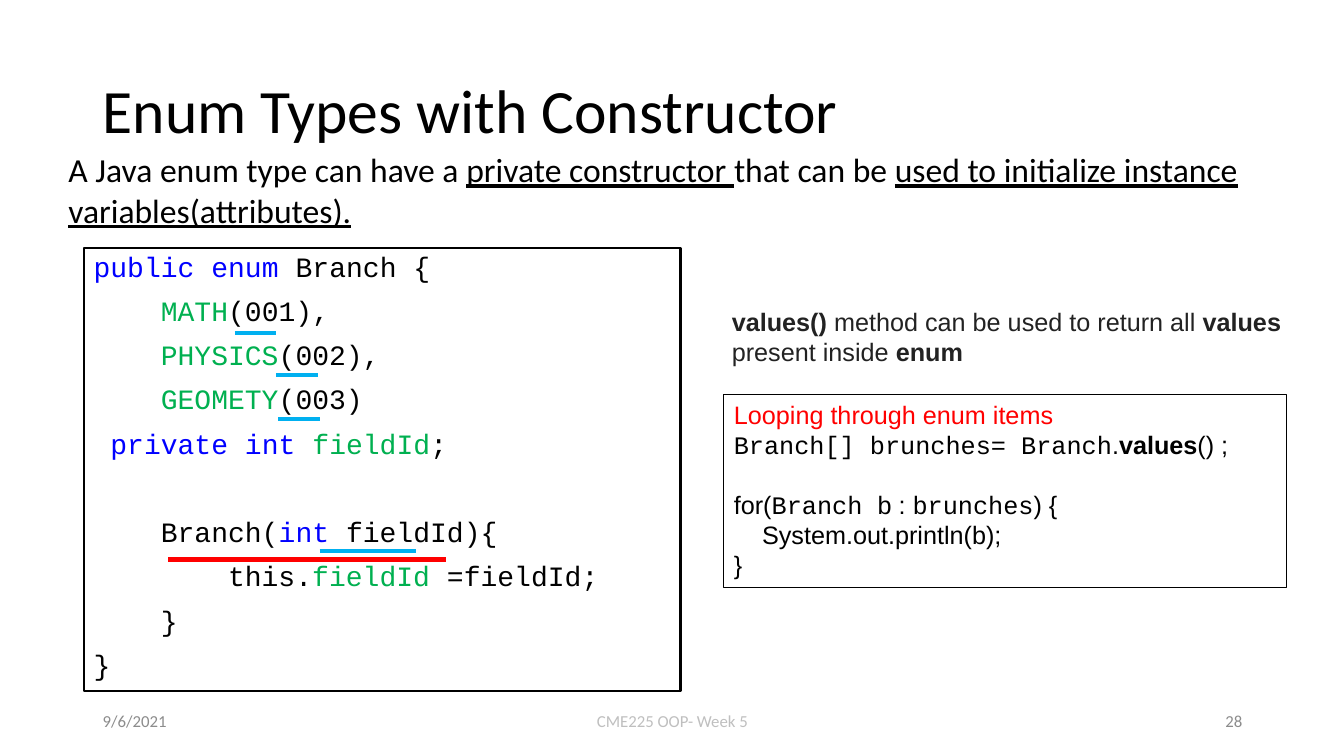
from pptx import Presentation
from pptx.dml.color import RGBColor
from pptx.enum.shapes import MSO_CONNECTOR, MSO_SHAPE
from pptx.enum.text import MSO_ANCHOR, PP_ALIGN
from pptx.oxml.ns import qn
from pptx.util import Inches, Pt
from lxml import etree

COLORS = {
    "white": "FFFFFF", "black": "000000", "keyword": "0000FF", "name": "00B050",
    "red": "FF0000", "sky": "00B0F0", "note": "222222", "gray": "8C8C8C", "pale": "BFBFBF",
}
CODE = "Courier New"

deck = Presentation()
deck.slide_width, deck.slide_height = Inches(13.33), Inches(7.5)
page = deck.slides.add_slide(deck.slide_layouts[6])


def add_text(place, lines, font="Calibri", size=12, color="black", align=PP_ALIGN.LEFT,
             anchor=MSO_ANCHOR.TOP, spacing=None, before=0, border=None):
    box = page.shapes.add_shape(MSO_SHAPE.RECTANGLE, *map(Inches, place))
    box.shadow.inherit = False
    if border:
        box.fill.solid()
        box.fill.fore_color.rgb = RGBColor.from_string(COLORS["white"])
        box.line.color.rgb = RGBColor.from_string(COLORS["black"])
        box.line.width = Pt(border)
    else:
        box.fill.background()
        box.line.fill.background()
    frame = box.text_frame
    frame.word_wrap = True
    frame.vertical_anchor = anchor
    for index, (indent, gap, spans) in enumerate(lines):
        para = frame.paragraphs[0] if index == 0 else frame.add_paragraph()
        para.alignment = align
        para.line_spacing = spacing
        para.space_before = Pt(before + gap)
        para._p.get_or_add_pPr().set("marL", str(Inches(indent)))
        for text, style in spans:
            span = para.add_run()
            span.text = text
            span.font.name = style.get("font", font)
            span.font.size = Pt(size)
            span.font.bold = style.get("bold", False)
            span.font.underline = style.get("underline", False)
            span.font.color.rgb = RGBColor.from_string(COLORS[style.get("color", color)])


plain, bold, underlined = {}, {"bold": True}, {"underline": True}
keyword, name, mono = {"color": "keyword"}, {"color": "name"}, {"font": CODE}

add_text((0.92, 0.4, 11.5, 1.45), [(0, 0, [("Enum Types with Constructor", plain)])],
         size=44, anchor=MSO_ANCHOR.MIDDLE, spacing=0.9)

character = 1 / 6
branch_code = [
    (0, 0, [("public enum", keyword), (" Branch {", plain)]),
    (4, 0, [("MATH", name), ("(001),", plain)]),
    (4, 0, [("PHYSICS", name), ("(002),", plain)]),
    (4, 0, [("GEOMETY", name), ("(003)", plain)]),
    (1, 0, [("private int ", keyword), ("fieldId", name), (";", plain)]),
    (4, 31.6, [("Branch(", plain), ("int", keyword), (" fieldId){", plain)]),
    (8, 0, [("this.", plain), ("fieldId", name), (" =fieldId;", plain)]),
    (4, 0, [("}", plain)]),
    (0, 0, [("}", plain)]),
]
add_text((0.83, 2.46, 5.92, 4.4),
         [(columns * character, gap, spans) for columns, gap, spans in branch_code],
         font=CODE, size=20, spacing=0.9, before=10, border=1.5)

footers = [
    (0.92, 3, "9/6/2021", "gray", PP_ALIGN.LEFT),
    (4.42, 4.5, "CME225 OOP- Week 5", "pale", PP_ALIGN.CENTER),
    (9.42, 3, "28", "gray", PP_ALIGN.RIGHT),
]
for left, width, text, color, align in footers:
    add_text((left, 6.95, width, 0.4), [(0, 0, [(text, plain)])],
             color=color, align=align, anchor=MSO_ANCHOR.MIDDLE)

add_text((0.58, 1.43, 12.34, 0.91), [(0, 0, [
    ("A Java enum type can have a ", plain),
    ("private constructor ", underlined),
    ("that can be ", plain),
    ("used to initialize instance variables(attributes).", underlined),
])], size=24)

underlines = [
    (1.67, 4.42, 5.55, "red"),
    (3.17, 4.13, 5.47, "sky"),
    (2.33, 2.74, 3.3, "sky"),
    (2.74, 3.15, 3.72, "sky"),
    (2.76, 3.17, 4.16, "sky"),
]
for start, end, height, color in underlines:
    line = page.shapes.add_connector(MSO_CONNECTOR.STRAIGHT, Inches(start), Inches(height),
                                     Inches(end), Inches(height))
    line.line.color.rgb = RGBColor.from_string(COLORS[color])
    line.line.width = Pt(3)
    etree.SubElement(line._element.spPr, qn("a:effectLst"))

add_text((7.18, 3.91, 5.58, 1.92), [
    (0, 0, [("Looping through enum items", {"color": "red"})]),
    (0, 0, [("Branch[] brunches= Branch", mono), (".", plain), ("values", bold), ("() ;", plain)]),
    (0, 21, [("for(", plain), ("Branch ", mono), ("b : ", plain), ("brunches", mono), (") {", plain)]),
    (0.28, 0, [("System.out.println(b);", plain)]),
    (0, 0, [("}", plain)]),
], font="Arial", size=18, border=0.75)

add_text((7.16, 2.99, 5.92, 0.71), [(0, 0, [
    ("values()", bold), (" method can be used to return all ", plain),
    ("values", bold), (" present inside ", plain), ("enum", bold),
])], font="Arial", size=18, color="note")

deck.save("out.pptx")
